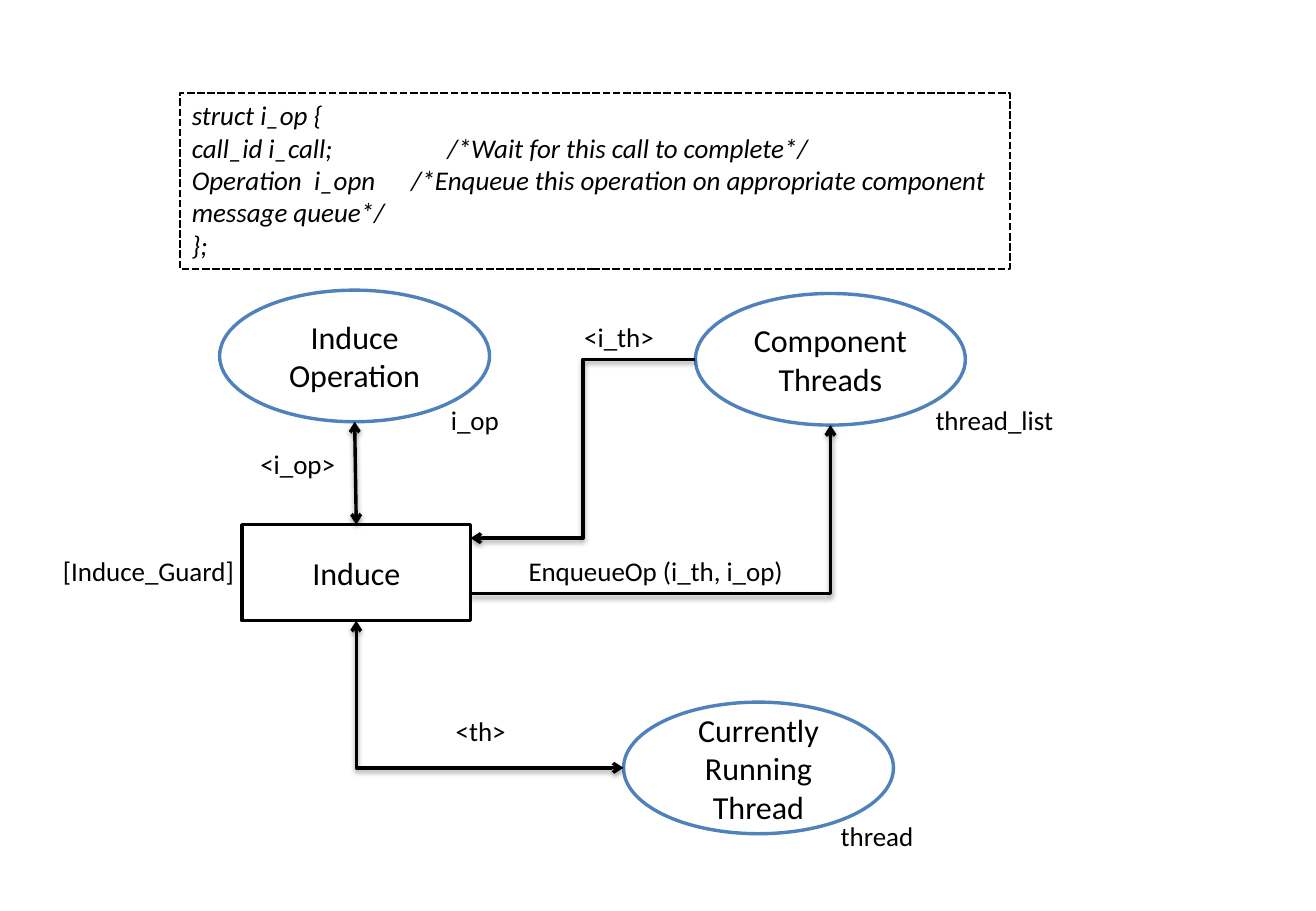
from lxml import etree
from pptx import Presentation
from pptx.dml.color import RGBColor
from pptx.enum.dml import MSO_LINE
from pptx.enum.shapes import MSO_CONNECTOR, MSO_SHAPE
from pptx.enum.text import MSO_ANCHOR, PP_ALIGN
from pptx.oxml.ns import qn
from pptx.util import Pt

OVAL, RECT = MSO_SHAPE.OVAL, MSO_SHAPE.RECTANGLE
STRAIGHT, ELBOW = MSO_CONNECTOR.STRAIGHT, MSO_CONNECTOR.ELBOW
LEFT, CENTER = PP_ALIGN.LEFT, PP_ALIGN.CENTER
TOP, MIDDLE = MSO_ANCHOR.TOP, MSO_ANCHOR.MIDDLE
COLORS = {"ink": "000000", "paper": "FFFFFF", "oval": "4F81BD"}
FONT = "Calibri"
NODE_SIZE, LABEL_SIZE = 19, 16


def rgb(name):
    return RGBColor.from_string(COLORS[name])


def sub(parent, tag, **attrs):
    return etree.SubElement(parent, qn(tag), {k: str(v) for k, v in attrs.items()})


def add_text(sp, lines, size, align=LEFT, anchor=TOP, italic=False, tabs=()):
    """Write one paragraph per line; tabs maps each line to its tab stops in points."""
    tf = sp.text_frame
    tf.word_wrap = True
    tf.vertical_anchor = anchor
    for i, line in enumerate(lines):
        p = tf.paragraphs[0] if i == 0 else tf.add_paragraph()
        p.alignment = align
        if tabs and tabs[i]:
            tab_list = sub(p._p.get_or_add_pPr(), "a:tabLst")
            for stop in tabs[i]:
                sub(tab_list, "a:tab", pos=Pt(stop), algn="l")
        r = p.add_run()
        r.text = line
        r.font.name, r.font.size, r.font.italic = FONT, Pt(size), italic
        r.font.color.rgb = rgb("ink")


def add_box(s, kind, x, y, w, h, line, width):
    sp = s.shapes.add_shape(kind, Pt(x), Pt(y), Pt(w), Pt(h))
    sp.shadow.inherit = False
    sp.line.color.rgb = rgb(line)
    sp.line.width = Pt(width)
    return sp


def add_node(s, kind, x, y, w, h, line, lines):
    sp = add_box(s, kind, x, y, w, h, line, 2)
    sp.fill.solid()
    sp.fill.fore_color.rgb = rgb("paper")
    add_text(sp, lines, NODE_SIZE, CENTER, MIDDLE)
    return sp


def add_arrow(s, start, end, kind=STRAIGHT, preset=None, both=False):
    """Draw a shadowed arrow between two points given in EMU."""
    c = s.shapes.add_connector(kind, *start, *end)
    c.line.color.rgb = rgb("ink")
    c.line.width = Pt(2)
    spPr = c._element.spPr
    if preset:
        spPr.find(qn("a:prstGeom")).set("prst", preset)
    ln = spPr.find(qn("a:ln"))
    if both:
        sub(ln, "a:headEnd", type="arrow")
    sub(ln, "a:tailEnd", type="arrow")
    shadow = sub(sub(spPr, "a:effectLst"), "a:outerShdw", blurRad=Pt(3.1),
                 dist=Pt(1.6), dir=5400000, rotWithShape=0)
    sub(sub(shadow, "a:srgbClr", val=COLORS["ink"]), "a:alpha", val=38000)
    return c


def code_box(s, x, y, w, h):
    sp = add_box(s, RECT, x, y, w, h, "ink", 1.5)
    sp.fill.background()
    sp.line.dash_style = MSO_LINE.SQUARE_DOT
    add_text(sp, [
        "struct i_op {",
        "call_id i_call;\t/*Wait for this call to complete*/",
        "Operation\ti_opn\t/*Enqueue this operation on appropriate component message queue*/",
        "};",
    ], LABEL_SIZE, italic=True, tabs=[(), (151.5,), (72.5, 130), ()])


def diagram(s, x, y):
    ow, oh = 160, 78
    threads = add_node(s, OVAL, x + 382, y + 2, ow, oh, "oval", ["Component", "Threads"])
    running = add_node(s, OVAL, x + 339.4, y + 244.2, ow, oh, "oval",
                       ["Currently Running", "Thread"])
    induce = add_node(s, RECT, x + 113.3, y + 139, 135.4, 57, "ink", ["Induce"])
    operation = add_node(s, OVAL, x + 100, y, ow, oh, "oval", ["Induce Operation"])

    def mid_x(sp):
        return sp.left + sp.width // 2

    def mid_y(sp):
        return sp.top + sp.height // 2

    right, bottom = induce.left + induce.width, induce.top + induce.height
    add_arrow(s, (running.left, mid_y(running)), (mid_x(induce), bottom),
              ELBOW, "bentConnector2", both=True)
    add_arrow(s, (right, induce.top + Pt(41)),
              (mid_x(threads), threads.top + threads.height), ELBOW, "bentConnector2")
    add_arrow(s, (threads.left, mid_y(threads)), (right, induce.top + Pt(8)), ELBOW)
    link = add_arrow(s, (mid_x(induce), induce.top),
                     (mid_x(operation), operation.top + operation.height), both=True)
    link.begin_connect(induce, 0)

    for text, dx, dy, w in [
        ("thread_list", 517.2, 63.4, 107),
        ("thread", 461, 310.4, 107),
        ("<th>", 232.8, 247.8, 51),
        ("<i_op>", 117, 90, 64),
        ("i_op", 230, 63.4, 107),
        ("<i_th>", 309, 14.5, 107),
        ("EnqueueOp (i_th, i_op)", 276, 153.4, 174),
        ("[Induce_Guard]", 0, 153.4, 120),
    ]:
        label = s.shapes.add_textbox(Pt(x + dx), Pt(y + dy), Pt(w), Pt(26.6))
        add_text(label, [text], LABEL_SIZE)


def main():
    prs = Presentation()
    prs.slide_width, prs.slide_height = Pt(780), Pt(540)
    s = prs.slides.add_slide(prs.slide_layouts[6])
    diagram(s, 30.2, 172)
    code_box(s, 106.6, 55, 492, 104.4)
    prs.save("out.pptx")


if __name__ == "__main__":
    main()
